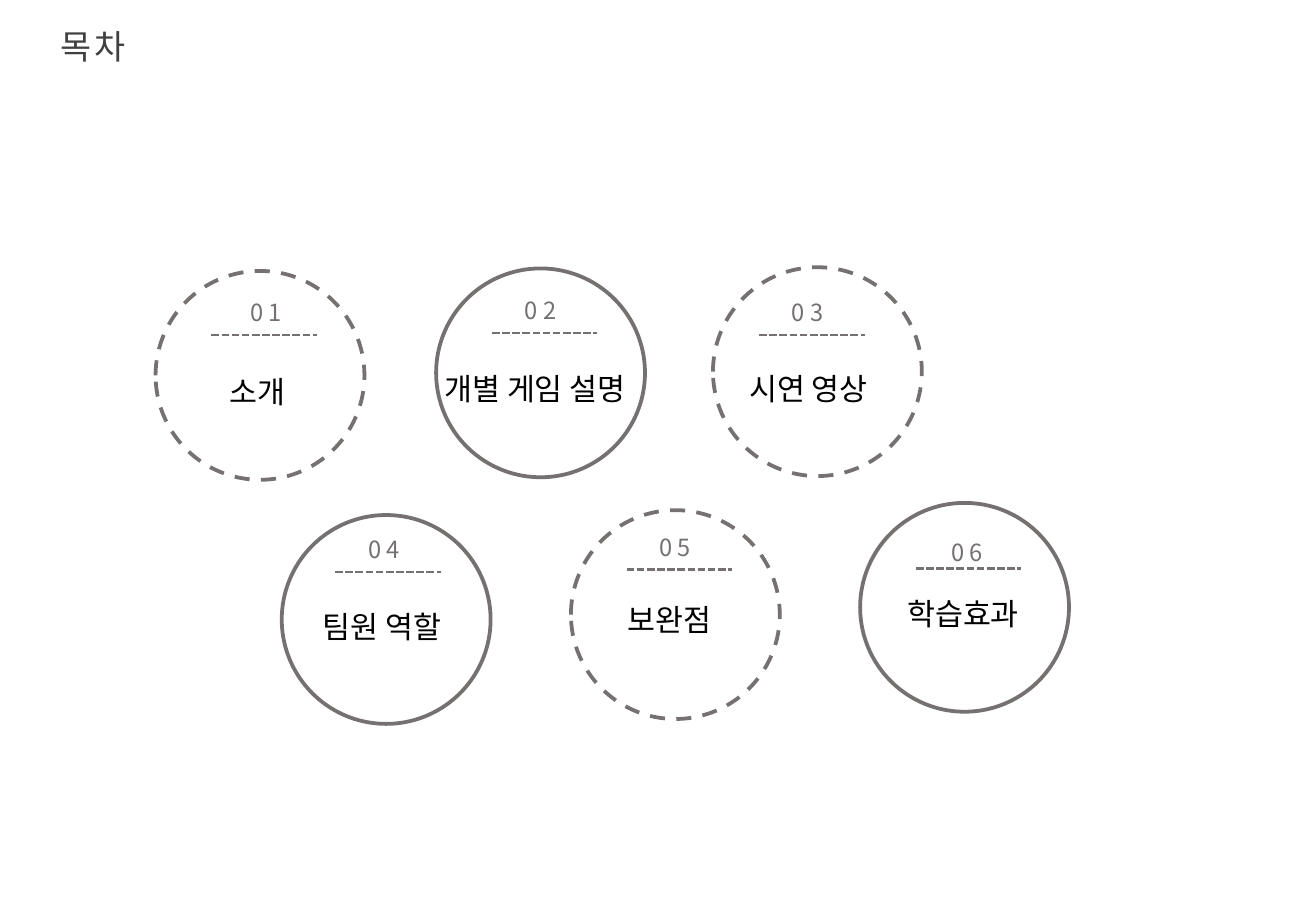
from dataclasses import dataclass

from lxml.etree import SubElement
from pptx import Presentation
from pptx.dml.color import RGBColor
from pptx.enum.dml import MSO_LINE
from pptx.enum.shapes import MSO_CONNECTOR, MSO_SHAPE
from pptx.enum.text import MSO_AUTO_SIZE, PP_ALIGN
from pptx.oxml.ns import qn
from pptx.util import Pt


@dataclass(frozen=True)
class TextStyle:
    size: float
    font: str
    color: RGBColor


@dataclass(frozen=True)
class Theme:
    gray = RGBColor(0x76, 0x71, 0x71)
    korean_font = "Noto Sans CJK KR"
    title = TextStyle(20, korean_font, RGBColor(0x40, 0x40, 0x40))
    number = TextStyle(14, korean_font, gray)
    label = TextStyle(18, "Calibri", RGBColor(0, 0, 0))
    circle_line = 2.25
    rule_line = 1.5


@dataclass(frozen=True)
class Topic:
    """One contents entry; positions are (left, top) in points."""
    number: str
    label: str
    dashed: bool
    circle: tuple
    rule: tuple
    number_at: tuple
    label_at: tuple
    label_width: float


CIRCLE_SIZE = 123.8
RULE_WIDTH = 62.5
NUMBER_SIZE = (224.6, 29.5)
LABEL_HEIGHT = 28.8

TOPICS = [
    Topic("0 1", "소개", True, (92.2, 160.6), (125.3, 198.7), (45.4, 164.9), (128.9, 217.4), 51.1),
    Topic("0 2", "개별 게임 설명", False, (258.5, 159.1), (291.6, 197.3), (208.1, 163.4), (256.3, 216), 131.8),
    Topic("0 3", "시연 영상", True, (422.6, 158.4), (450, 198.7), (366.5, 164.9), (437, 216), 91.4),
    Topic("0 4", "팀원 역할", False, (167, 305.3), (198.7, 339.1), (115.2, 305.3), (184.3, 357.1), 91.4),
    Topic("0 5", "보완점", True, (338.4, 302.4), (371.5, 337.7), (288, 303.8), (365, 352.8), 69.1),
    Topic("0 6", "학습효과", False, (509.8, 298.1), (542.9, 337), (460.8, 306.7), (530.6, 349.2), 87.1),
]


class ContentsSlide:
    def __init__(self, presentation, theme):
        self.theme = theme
        self.slide = presentation.slides.add_slide(presentation.slide_layouts[6])

    def add_text(self, text, position, size, style, wrap=True, align=PP_ALIGN.LEFT, line_spacing=None):
        box = self.slide.shapes.add_textbox(*map(Pt, position + size))
        text_frame = box.text_frame
        text_frame.text = text
        text_frame.word_wrap = wrap
        text_frame.auto_size = MSO_AUTO_SIZE.SHAPE_TO_FIT_TEXT
        paragraph = text_frame.paragraphs[0]
        paragraph.alignment = align
        paragraph.line_spacing = line_spacing
        run = paragraph.runs[0]
        run.font.size = Pt(style.size)
        run.font.color.rgb = style.color
        run.font.name = style.font
        properties = run.font._element if hasattr(run.font, "_element") else run._r.get_or_add_rPr()
        SubElement(properties, qn("a:ea"), typeface=self.theme.korean_font)
        return properties

    def add_title(self, text):
        properties = self.add_text(text, (28.8, 11.5), (76.3, 31.7), self.theme.title)
        properties.set("spc", "-150")

    def add_circle(self, position, dashed):
        circle = self.slide.shapes.add_shape(
            MSO_SHAPE.OVAL, *map(Pt, position), Pt(CIRCLE_SIZE), Pt(CIRCLE_SIZE))
        circle.shadow.inherit = False
        circle.fill.background()
        circle.line.color.rgb = self.theme.gray
        circle.line.width = Pt(self.theme.circle_line)
        if dashed:
            circle.line.dash_style = MSO_LINE.DASH

    def add_rule(self, position):
        left, top = position
        rule = self.slide.shapes.add_connector(
            MSO_CONNECTOR.STRAIGHT, Pt(left), Pt(top), Pt(left + RULE_WIDTH), Pt(top))
        rule.line.color.rgb = self.theme.gray
        rule.line.width = Pt(self.theme.rule_line)
        rule.line.dash_style = MSO_LINE.SQUARE_DOT
        SubElement(rule._element.spPr, qn("a:effectLst"))

    def add_topic(self, topic):
        self.add_circle(topic.circle, topic.dashed)
        self.add_rule(topic.rule)
        self.add_text(topic.number, topic.number_at, NUMBER_SIZE, self.theme.number,
                      align=PP_ALIGN.CENTER, line_spacing=1.5)
        self.add_text(topic.label, topic.label_at, (topic.label_width, LABEL_HEIGHT),
                      self.theme.label, wrap=False)


def main():
    presentation = Presentation()
    presentation.slide_width = Pt(780)
    presentation.slide_height = Pt(540)
    contents = ContentsSlide(presentation, Theme())
    contents.add_title("목 차")
    for topic in TOPICS:
        contents.add_topic(topic)
    presentation.save("out.pptx")


if __name__ == "__main__":
    main()
